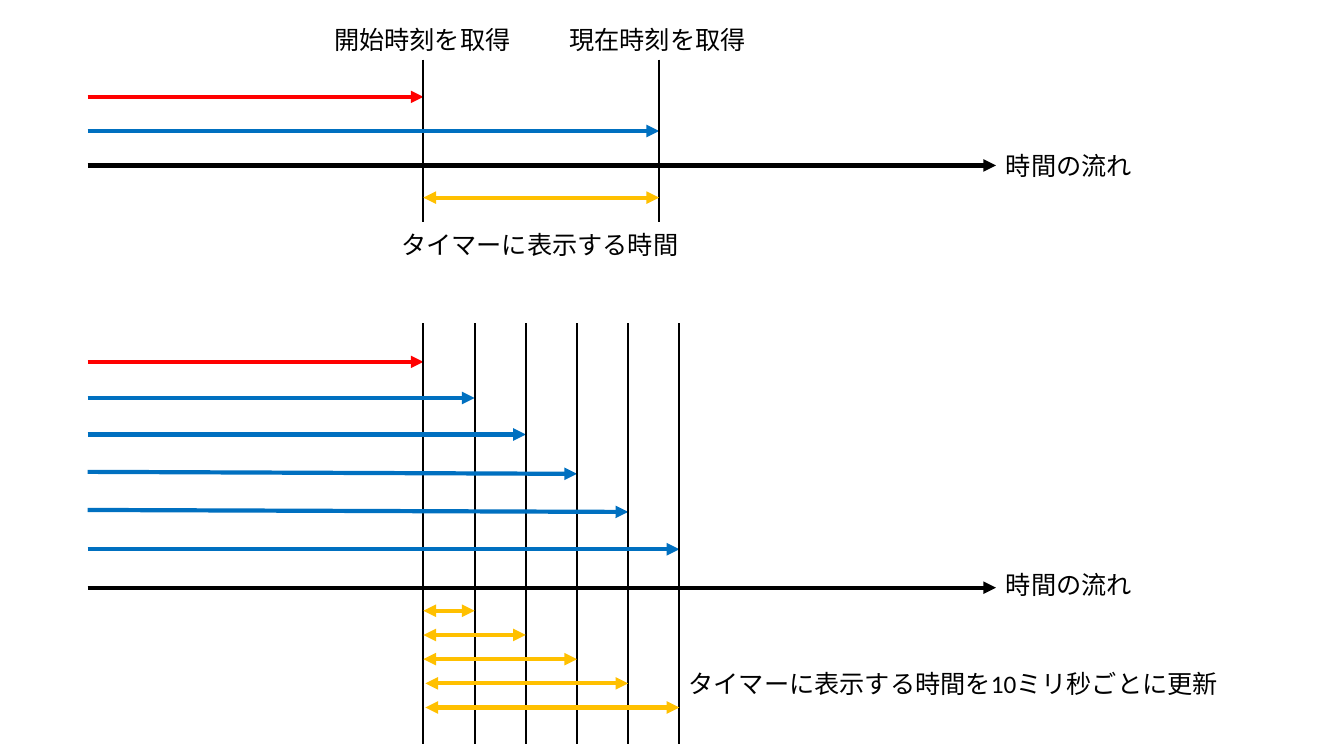
import pptx
import pptx.dml.color
import pptx.enum.dml
import pptx.enum.shapes
import pptx.enum.text
import pptx.oxml
import pptx.oxml.ns
import pptx.util
from dataclasses import dataclass
from lxml import etree

Cm = pptx.util.Cm


@dataclass(frozen=True)
class Theme:
    black: str = "000000"
    start: str = "FF0000"
    current: str = "0070C0"
    elapsed: str = "FFC000"
    font: str = "Calibri"
    text_size: float = 18
    arrow_width: float = 3
    marker_width: float = 1.5


class TimelineSlide:
    """Draws on one slide; all positions are in centimetres."""

    def __init__(self, slide, theme):
        self.slide = slide
        self.theme = theme

    def line(self, start, end, color, width, ends=()):
        connector = self.slide.shapes.add_connector(
            pptx.enum.shapes.MSO_CONNECTOR.STRAIGHT,
            Cm(start[0]), Cm(start[1]), Cm(end[0]), Cm(end[1]))
        connector.line.color.rgb = pptx.dml.color.RGBColor.from_string(color)
        connector.line.width = pptx.util.Pt(width)
        properties = connector._element.spPr
        outline = properties.find(pptx.oxml.ns.qn("a:ln"))
        for end_name in ends:
            etree.SubElement(outline, pptx.oxml.ns.qn(f"a:{end_name}"), type="triangle")
        etree.SubElement(properties, pptx.oxml.ns.qn("a:effectLst"))

    def arrow(self, start, end, color):
        self.line(start, end, color, self.theme.arrow_width, ["tailEnd"])

    def span(self, left, right, y):
        """Double-headed arrow for an elapsed time."""
        self.line((left, y), (right, y), self.theme.elapsed,
                  self.theme.arrow_width, ["headEnd", "tailEnd"])

    def marker(self, x, top, bottom):
        self.line((x, top), (x, bottom), self.theme.black, self.theme.marker_width)

    def label(self, text, left, top, width):
        box = self.slide.shapes.add_textbox(Cm(left), Cm(top), Cm(width), Cm(1.03))
        frame = box.text_frame
        frame.text = text
        frame.word_wrap = False
        frame.auto_size = pptx.enum.text.MSO_AUTO_SIZE.SHAPE_TO_FIT_TEXT
        font = frame.paragraphs[0].runs[0].font
        font.name = self.theme.font
        font.size = pptx.util.Pt(self.theme.text_size)
        font.color.rgb = pptx.dml.color.RGBColor.from_string(self.theme.black)

    def time_axis(self, y, label_top):
        self.arrow((ORIGIN, y), (AXIS_END, y), self.theme.black)
        self.label("時間の流れ", AXIS_END, label_top, 3.7)


ORIGIN, AXIS_END = 2.21, 25.1
START_TIME, CURRENT_TIME = 10.67, 16.61
TICK = 1.29


def draw_single_reading(diagram):
    theme = diagram.theme
    diagram.time_axis(4.17, 3.66)
    for name, left, time, y, color in (
            ("開始時刻を取得", 8.17, START_TIME, 2.44, theme.start),
            ("現在時刻を取得", 14.1, CURRENT_TIME, 3.3, theme.current)):
        diagram.arrow((ORIGIN, y), (time, y), color)
        diagram.label(name, left, 0.48, 5)
        diagram.marker(time, 1.5, 5.59)
    diagram.span(START_TIME, CURRENT_TIME, 4.98)
    diagram.label("タイマーに表示する時間", 9.86, 5.66, 7.57)


def draw_repeated_readings(diagram):
    theme = diagram.theme
    top, bottom = 8.15, 18.75
    diagram.time_axis(14.81, 14.22)
    diagram.arrow((ORIGIN, 9.12), (START_TIME, 9.12), theme.start)
    diagram.marker(START_TIME, top, bottom)
    # Arrow heights at the origin and at the reading
    readings = ((10.03, 10.03), (10.95, 10.95), (11.89, 11.94),
                (12.85, 12.9), (13.84, 13.84))
    for number, (y_origin, y_reading) in enumerate(readings, 1):
        time = START_TIME + number * TICK
        diagram.arrow((ORIGIN, y_origin), (time, y_reading), theme.current)
        diagram.marker(time, top, bottom)
        span_left = START_TIME if number < 4 else START_TIME + 0.05
        diagram.span(span_left, time, 14.78 + number * 0.61)
    diagram.label("タイマーに表示する時間を10ミリ秒ごとに更新", 17.1, 16.71, 14.05)


def main():
    presentation = pptx.Presentation()
    presentation.slide_width = Cm(33.87)
    presentation.slide_height = Cm(19.05)
    blank_layout = presentation.slide_layouts[6]
    diagram = TimelineSlide(presentation.slides.add_slide(blank_layout), Theme())
    draw_single_reading(diagram)
    draw_repeated_readings(diagram)
    presentation.save("out.pptx")


if __name__ == "__main__":
    main()
